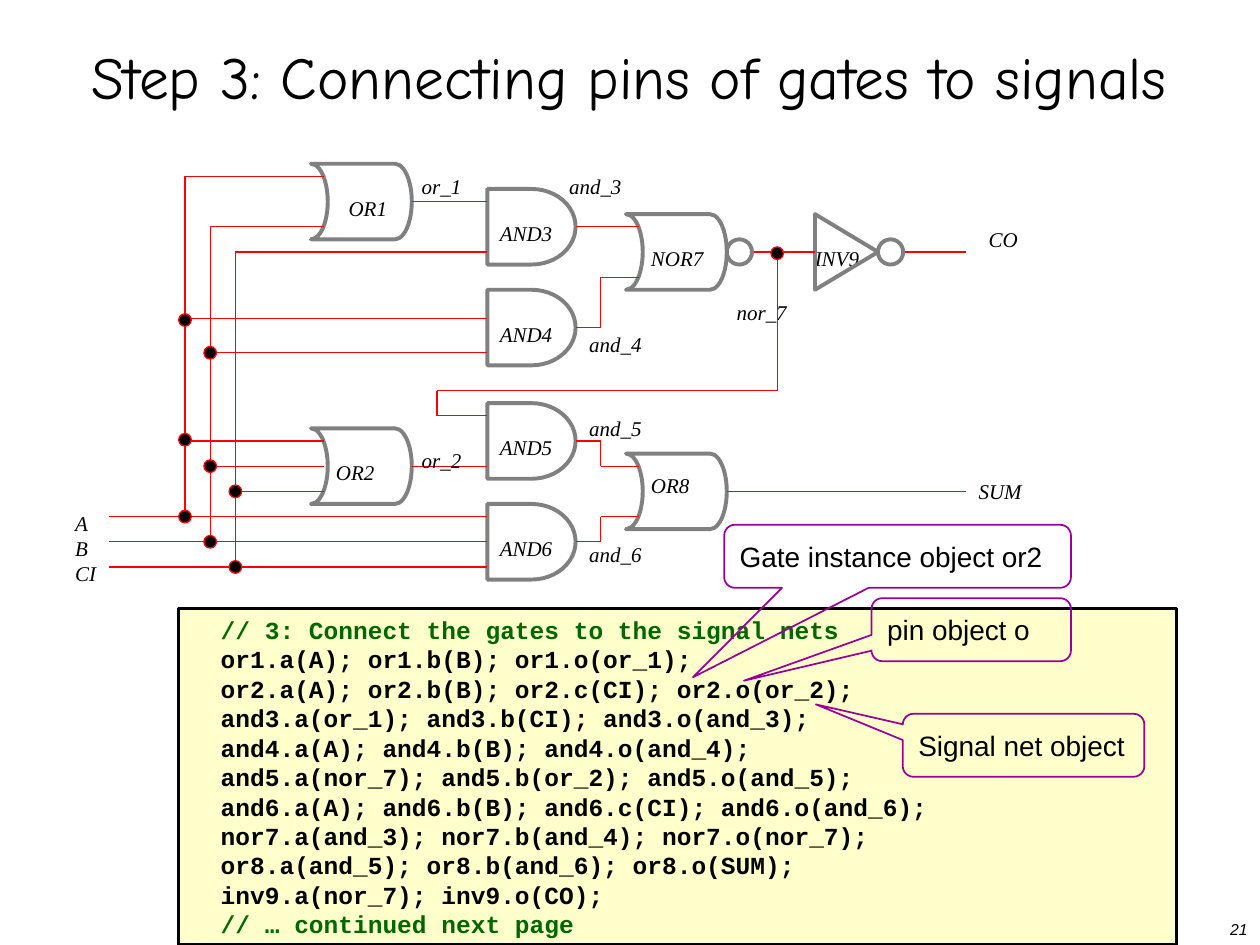
import itertools

import pptx
import pptx.dml.color
import pptx.enum.shapes
import pptx.enum.text
import pptx.oxml.ns
import pptx.util
from lxml import etree

Cm = pptx.util.Cm
Pt = pptx.util.Pt
SHAPE = pptx.enum.shapes.MSO_SHAPE
ALIGN = pptx.enum.text.PP_ALIGN
ANCHOR = pptx.enum.text.MSO_ANCHOR

COLORS = {
    "ink": "000000", "paper": "FFFFFF", "gate": "808080", "wire": "FF0000",
    "code": "FFFFCC", "comment": "006600", "callout": "990099",
}
CELL = Cm(2.54) / 10

GATES = [
    ("OR1", SHAPE.FLOWCHART_STORED_DATA, 20, 3, 2, 2),
    ("OR2", SHAPE.FLOWCHART_STORED_DATA, 20, 24, 1, 2),
    ("AND3", SHAPE.FLOWCHART_DELAY, 34, 5, 0, 2),
    ("AND4", SHAPE.FLOWCHART_DELAY, 34, 13, 0, 2),
    ("AND5", SHAPE.FLOWCHART_DELAY, 34, 22, 0, 2),
    ("AND6", SHAPE.FLOWCHART_DELAY, 34, 30, 0, 2),
    ("NOR7", SHAPE.FLOWCHART_STORED_DATA, 45, 7, 1, 2),
    ("OR8", SHAPE.FLOWCHART_STORED_DATA, 45, 26, 1, 1),
    ("INV9", SHAPE.ISOSCELES_TRIANGLE, 59.5, 7.5, -0.5, 1.5),
]
GATE_SIZES = {
    SHAPE.FLOWCHART_STORED_DATA: (8, 6),
    SHAPE.FLOWCHART_DELAY: (7, 6),
    SHAPE.ISOSCELES_TRIANGLE: (6, 5),
}
BUBBLES = [(53, 9), (65, 9)]
WIRES = [
    [(21, 4), (10, 4), (10, 31)],
    [(21, 8), (12, 8), (12, 33)],
    [(34, 10), (14, 10), (14, 35)],
    [(4, 31), (34, 31)], [(4, 33), (34, 33)], [(4, 35), (34, 35)],
    [(10, 15.3), (34, 15.3)], [(12, 18), (34, 18)],
    [(10, 25), (21, 25)], [(12, 27), (21, 27)], [(14, 29), (21, 29)],
    [(28, 6), (34, 6)], [(28, 27), (34, 27)],
    [(41, 8), (46, 8)],
    [(41, 16), (43, 16), (43, 12), (46, 12)],
    [(55, 10), (60, 10)], [(67, 10), (72, 10)],
    [(57, 10), (57, 21), (30, 21), (30, 23), (34, 23)],
    [(41, 25), (43, 25), (43, 27), (46, 27)],
    [(41, 33), (43, 33), (43, 31), (46, 31)],
    [(53, 29), (72, 29)],
]
JUNCTIONS = [(57, 10.1), (10, 15.4), (12, 18), (10, 24.9), (12, 27),
             (14, 29), (10, 31), (12, 33), (14, 35)]
PORTS = [(["A", "B", "CI"], 0.3, 30, 5.2, 9), (["SUM"], 72, 27.5, 7.5, 4),
         (["CO"], 72.8, 7.5, 5.8, 9)]
NETS = [("or_1", 27.8, 3.3), ("or_2", 27.8, 25), ("and_3", 39.5, 3.3),
        ("nor_7", 52.8, 13.3), ("and_4", 41.1, 15.8), ("and_5", 41.1, 22.5),
        ("and_6", 41.1, 32.5)]
CODE = """// 3: Connect the gates to the signal nets
or1.a(A); or1.b(B); or1.o(or_1);
or2.a(A); or2.b(B); or2.c(CI); or2.o(or_2);
and3.a(or_1); and3.b(CI); and3.o(and_3);
and4.a(A); and4.b(B); and4.o(and_4);
and5.a(nor_7); and5.b(or_2); and5.o(and_5);
and6.a(A); and6.b(B); and6.c(CI); and6.o(and_6);
nor7.a(and_3); nor7.b(and_4); nor7.o(nor_7);
or8.a(and_5); or8.b(and_6); or8.o(SUM);
inv9.a(nor_7); inv9.o(CO);
// … continued next page""".splitlines()
CALLOUTS = [
    ("Gate instance object or2", (14.6, 10.58, 6.99, 1.27), (-0.59, 1.92, 0.17)),
    ("pin object o", (17.57, 12.06, 4.02, 1.27), (-1.14, 0.81, 0.17)),
    ("Signal net object", (18.2, 14.39, 4.87, 1.27), (-0.86, -0.65, 0.17)),
]


def rgb(name):
    """Return the named colour."""
    return pptx.dml.color.RGBColor.from_string(COLORS[name])


def write(frame, lines, face, size, align=ALIGN.LEFT, bold=False, italic=False):
    """Fill a text frame with one paragraph per line, comments in green."""
    frame.text = "\n".join(lines)
    for paragraph in frame.paragraphs:
        paragraph.alignment = align
        font = paragraph.font
        font.name, font.size, font.bold, font.italic = face, Pt(size), bold, italic
        font.color.rgb = rgb("comment" if paragraph.text.startswith("//") else "ink")


def label(slide, box, lines, face="Times New Roman", size=12, italic=True,
          align=ALIGN.LEFT, fill=None):
    """Add a wrapping text box and return its frame."""
    caption = slide.shapes.add_textbox(*box)
    if fill:
        caption.fill.solid()
        caption.fill.fore_color.rgb = rgb(fill)
    caption.text_frame.word_wrap = True
    write(caption.text_frame, lines, face, size, align, italic=italic)
    return caption.text_frame


def outline(slide, kind, box, line, width, fill=None):
    """Add a flat preset shape with the given line and fill."""
    shape = slide.shapes.add_shape(kind, *box)
    shape.shadow.inherit = False
    shape.line.color.rgb = rgb(line)
    shape.line.width = Pt(width)
    if fill:
        shape.fill.solid()
        shape.fill.fore_color.rgb = rgb(fill)
    else:
        shape.fill.background()
    return shape


def wire(slide, start, end):
    """Draw one straight wire segment."""
    segment = slide.shapes.add_connector(
        pptx.enum.shapes.MSO_CONNECTOR.STRAIGHT, *start, *end)
    segment.line.color.rgb = rgb("wire")
    segment.line.width = Pt(0.75)
    etree.SubElement(segment._element.spPr, pptx.oxml.ns.qn("a:effectLst"))


def circuit(slide, left, top):
    """Draw the adder on a grid of cells that starts at left, top."""
    def at(x, y):
        return round(left + x * CELL), round(top + y * CELL)

    def box(x, y, width, height):
        return *at(x, y), round(width * CELL), round(height * CELL)

    for name, kind, x, y, dx, dy in GATES:
        label(slide, box(x + dx, y + dy, 7, 3), [name], fill="paper")
    for names, *place in PORTS:
        label(slide, box(*place), names, fill="paper")
    for name, kind, x, y, dx, dy in GATES:
        gate = outline(slide, kind, box(x, y, *GATE_SIZES[kind]), "gate", 2.25)
        if kind == SHAPE.FLOWCHART_STORED_DATA:
            gate._element.spPr.xfrm.set("flipH", "1")
        elif kind == SHAPE.ISOSCELES_TRIANGLE:
            gate.rotation = 90
    for route in WIRES:
        for start, end in itertools.pairwise(route):
            wire(slide, at(*start), at(*end))
    for x, y in BUBBLES:
        outline(slide, SHAPE.OVAL, box(x, y, 2, 2), "gate", 2.25, "paper")
    for x, y in JUNCTIONS:
        outline(slide, SHAPE.OVAL, box(x - 0.5, y - 0.5, 1, 1), "wire", 0.75, "ink")


def net_names(slide, left, top):
    """Name the inner nets on the circuit grid."""
    for name, x, y in NETS:
        label(slide, (round(left + x * CELL), round(top + y * CELL), Cm(1.7), Cm(0.81)),
              [name])


def code_panel(slide, box):
    """Show the connection code in a bordered panel."""
    panel = outline(slide, SHAPE.RECTANGLE, box, "ink", 2, "code")
    frame = panel.text_frame
    frame.word_wrap = False
    frame.vertical_anchor = ANCHOR.MIDDLE
    frame.margin_left = Cm(0.85)
    write(frame, CODE, "Courier New", 14, bold=True)


def callout(slide, box, words, pointer):
    """Add a rounded callout whose tip follows the pointer values."""
    bubble = outline(slide, SHAPE.ROUNDED_RECTANGULAR_CALLOUT, box, "callout", 1)
    for index, value in enumerate(pointer):
        bubble.adjustments[index] = value
    bubble.text_frame.word_wrap = False
    bubble.text_frame.vertical_anchor = ANCHOR.MIDDLE
    write(bubble.text_frame, [words], "Arial", 16)


def main():
    """Build the slide and save it."""
    deck = pptx.Presentation()
    deck.slide_width, deck.slide_height = Cm(25.4), Cm(19.05)
    slide = deck.slides.add_slide(deck.slide_layouts[6])
    title = label(slide, (Cm(0.81), Cm(0.64), Cm(23.75), Cm(2.03)),
                  ["Step 3: Connecting pins of gates to signals"],
                  "Comic Neue", 34, False, ALIGN.CENTER)
    title.vertical_anchor = ANCHOR.MIDDLE
    title.paragraphs[0].line_spacing = 0.8
    origin = Cm(1.19), Cm(2.54)
    circuit(slide, *origin)
    code_panel(slide, (Cm(3.6), Cm(12.27), Cm(20.12), Cm(6.78)))
    for words, box, pointer in CALLOUTS:
        callout(slide, [Cm(length) for length in box], words, pointer)
    net_names(slide, *origin)
    label(slide, (Cm(18.41), Cm(18.41), Cm(6.99), Cm(0.64)), ["21"],
          "Arial", 9, align=ALIGN.RIGHT)
    deck.save("out.pptx")


if __name__ == "__main__":
    main()
